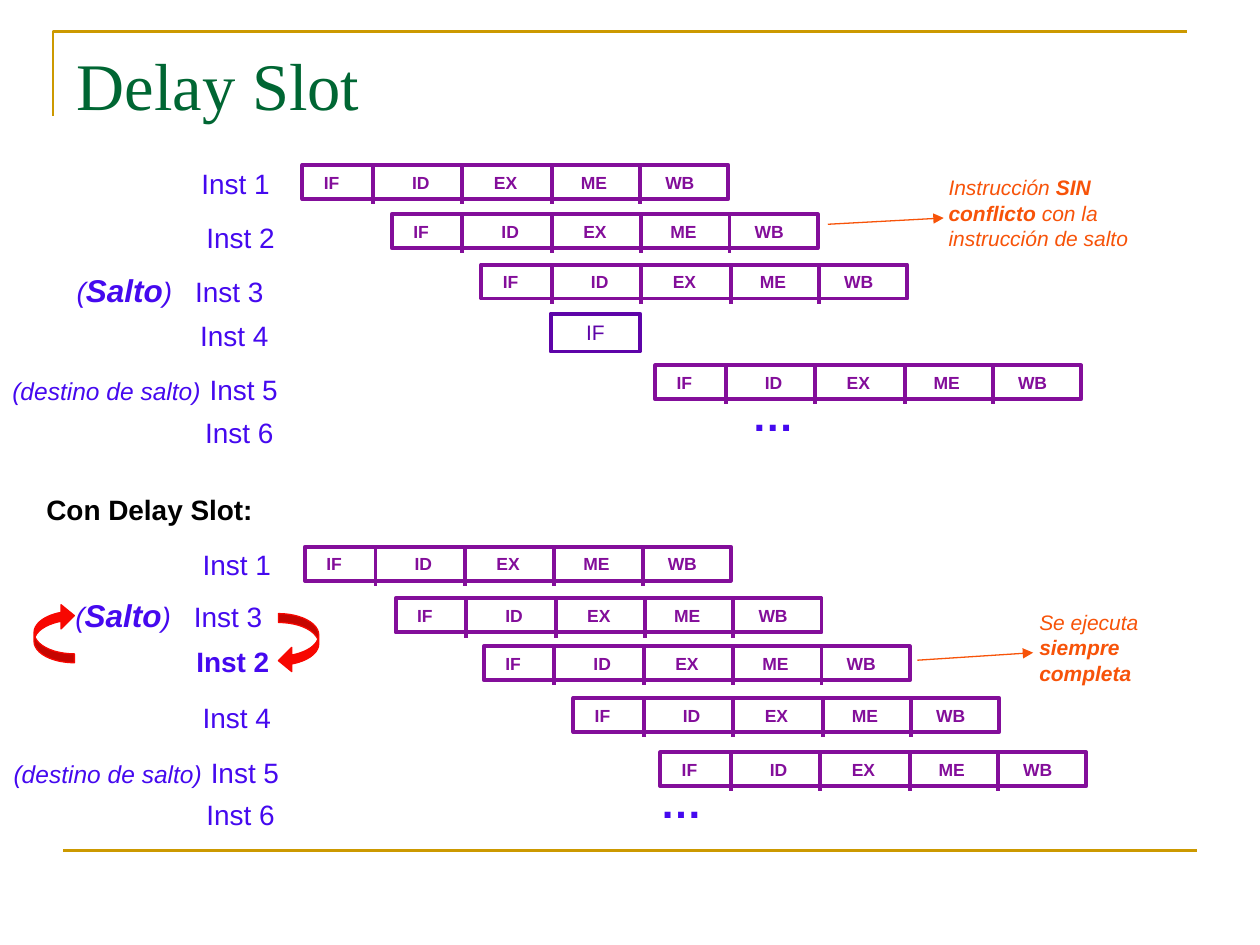
import pptx
import pptx.util
import pptx.dml.color
import pptx.enum.shapes
import pptx.enum.text
import pptx.oxml.ns
import lxml.etree

Inches = pptx.util.Inches
SHAPE = pptx.enum.shapes.MSO_SHAPE
STRAIGHT = pptx.enum.shapes.MSO_CONNECTOR.STRAIGHT
ANCHOR = pptx.enum.text.MSO_ANCHOR
ALIGN = pptx.enum.text.PP_ALIGN
qn = pptx.oxml.ns.qn


def rgb(value):
    return pptx.dml.color.RGBColor.from_string(value)


def write(p, text, size=16, color="4509EF", bold=False, italic=False, font="Arial"):
    r = p.add_run()
    r.text = text
    r.font.size = pptx.util.Pt(size)
    r.font.color.rgb = rgb(color)
    r.font.bold = bold
    r.font.italic = italic
    r.font.name = font


def set_tabs(p, stops):
    tabs = lxml.etree.SubElement(p._p.get_or_add_pPr(), qn("a:tabLst"))
    for stop in stops:
        lxml.etree.SubElement(tabs, qn("a:tab"), pos=str(Inches(stop)), algn="l")


class Deck:
    gold = "CC9900"
    green = "006633"
    purple = "830E9A"
    violet = "5E04A8"
    orange = "F75309"
    red = "F70701"
    stages = "IF\tID\tEX\tME\tWB"
    stage_tabs = (0.7, 1.35, 2.04, 2.71)
    dividers = (0.56, 1.27, 1.98, 2.68)

    def __init__(self, prs):
        self.s = prs.slides.add_slide(prs.slide_layouts[5])

    def title(self, text, x, y, w, h):
        sp = self.s.shapes.title
        sp.left, sp.top, sp.width, sp.height = map(Inches, (x, y, w, h))
        tf = sp.text_frame
        tf.vertical_anchor = ANCHOR.MIDDLE
        tf.paragraphs[0].alignment = ALIGN.LEFT
        write(tf.paragraphs[0], text, size=38, color=self.green, font="Times New Roman")

    def frame(self, left, top, right, bottom):
        fb = self.s.shapes.build_freeform(Inches(left), Inches(bottom))
        fb.add_line_segments(
            [(Inches(left), Inches(top)), (Inches(right), Inches(top))], close=False)
        sp = fb.convert_to_shape()
        sp.shadow.inherit = False
        sp.fill.background()
        self.outline(sp, self.gold, 1.5)

    def outline(self, sp, color, width):
        sp.line.color.rgb = rgb(color)
        sp.line.width = pptx.util.Pt(width)

    def line(self, x1, y1, x2, y2, color, width, arrow=False, shapes=None):
        shapes = shapes or self.s.shapes
        cx = shapes.add_connector(STRAIGHT, *map(Inches, (x1, y1, x2, y2)))
        self.outline(cx, color, width)
        if arrow:
            lxml.etree.SubElement(cx.line._get_or_add_ln(), qn("a:tailEnd"), type="triangle")
        lxml.etree.SubElement(cx._element.spPr, qn("a:effectLst"))

    def text(self, x, y, w, h, spans, tabs=()):
        tf = self.s.shapes.add_textbox(*map(Inches, (x, y, w, h))).text_frame
        tf.word_wrap = True
        p = tf.paragraphs[0]
        if tabs:
            set_tabs(p, tabs)
        for text, fmt in spans:
            write(p, text, **fmt)

    def label(self, x, y, text, **fmt):
        self.text(x, y, 0.85, 0.37, [(text, fmt)])

    def jump(self, x, y):
        self.text(x, y, 1.79, 0.4, [
            ("(", dict(italic=True)),
            ("Salto", dict(size=18, bold=True, italic=True)),
            (")", dict(italic=True)),
            ("\tInst 3", {}),
        ], tabs=[0.94])

    def target(self, x, y):
        self.text(x, y, 2.4, 0.4, [
            ("(destino de salto)", dict(size=14, italic=True)),
            (" ", dict(size=18, color="000000")),
            ("Inst 5", {}),
        ])

    def ellipsis(self, x, y):
        self.text(x, y, 0.6, 0.5, [("…", dict(size=24, bold=True))])

    def note(self, x, y, w, spans):
        fmt = dict(size=12, color=self.orange, italic=True)
        self.text(x, y, w, 0.7, [(t, dict(fmt, bold=b)) for t, b in spans])

    def box(self, x, y, w, h, color, shapes=None):
        shapes = shapes or self.s.shapes
        sp = shapes.add_shape(SHAPE.RECTANGLE, *map(Inches, (x, y, w, h)))
        sp.shadow.inherit = False
        sp.fill.background()
        self.outline(sp, color, 2.25)
        sp.text_frame.vertical_anchor = ANCHOR.MIDDLE
        return sp.text_frame

    def fetch(self, x, y):
        p = self.box(x, y, 0.71, 0.3, self.violet).paragraphs[0]
        p.alignment = ALIGN.CENTER
        write(p, "IF", size=12, color=self.violet)

    def pipeline(self, x, y):
        shapes = self.s.shapes.add_group_shape().shapes
        tf = self.box(x, y, 3.38, 0.27, self.purple, shapes)
        tf.margin_left = Inches(0.17)
        p = tf.paragraphs[0]
        p.alignment = ALIGN.LEFT
        set_tabs(p, self.stage_tabs)
        write(p, self.stages, size=10, color=self.purple, bold=True)
        for dx in self.dividers:
            self.line(x + dx, y + 0.01, x + dx, y + 0.31, self.purple, 2.25, shapes=shapes)

    def swap_arrow(self, x, y, rotation=0):
        sp = self.s.shapes.add_shape(
            SHAPE.CURVED_LEFT_ARROW, *map(Inches, (x, y, 0.32, 0.47)))
        sp.rotation = rotation
        sp.shadow.inherit = False
        for i, value in enumerate((0.22, 0.6, 0.33)):
            sp.adjustments[i] = value
        sp.fill.solid()
        sp.fill.fore_color.rgb = rgb(self.red)
        self.outline(sp, self.red, 0.75)


def main():
    prs = pptx.Presentation()
    prs.slide_width, prs.slide_height = Inches(10), Inches(7.5)
    d = Deck(prs)
    d.frame(0.42, 0.25, 9.42, 0.92)
    d.line(0.5, 6.75, 9.5, 6.75, d.gold, 1.5)
    d.title("Delay Slot", 0.51, 0.28, 9, 0.77)

    d.label(1.5, 1.27, "Inst 1")
    d.label(1.54, 1.7, "Inst 2")
    d.jump(0.51, 2.1)
    d.label(1.49, 2.48, "Inst 4")
    d.target(0, 2.88)
    d.label(1.53, 3.25, "Inst 6")
    for x, y in [(2.4, 1.31), (3.11, 1.7), (3.82, 2.1), (5.2, 2.9)]:
        d.pipeline(x, y)
    d.fetch(4.37, 2.49)
    d.ellipsis(5.87, 3.04)
    d.line(6.57, 1.78, 7.49, 1.73, d.orange, 0.75, arrow=True)
    d.note(7.43, 1.34, 1.7, [("Instrucción ", False), ("SIN conflicto", True),
                             (" con la instrucción de salto", False)])

    d.text(0.27, 3.86, 9, 0.37,
           [("Con Delay Slot:", dict(color="000000", bold=True))])
    d.label(1.51, 4.3, "Inst 1")
    d.jump(0.5, 4.68)
    d.label(1.46, 5.07, "Inst 2", bold=True)
    d.label(1.51, 5.51, "Inst 4")
    d.target(0.01, 5.92)
    d.label(1.54, 6.28, "Inst 6")
    for x, y in [(2.42, 4.34), (3.14, 4.75), (3.84, 5.13), (4.55, 5.54), (5.24, 5.97)]:
        d.pipeline(x, y)
    d.ellipsis(5.14, 6.11)
    d.line(7.28, 5.24, 8.2, 5.18, d.orange, 0.75, arrow=True)
    d.note(8.15, 4.79, 1.26, [("Se ejecuta ", False), ("siempre completa", True)])
    d.swap_arrow(0.27, 4.79, rotation=180)
    d.swap_arrow(2.21, 4.87)
    prs.save("out.pptx")


if __name__ == "__main__":
    main()
